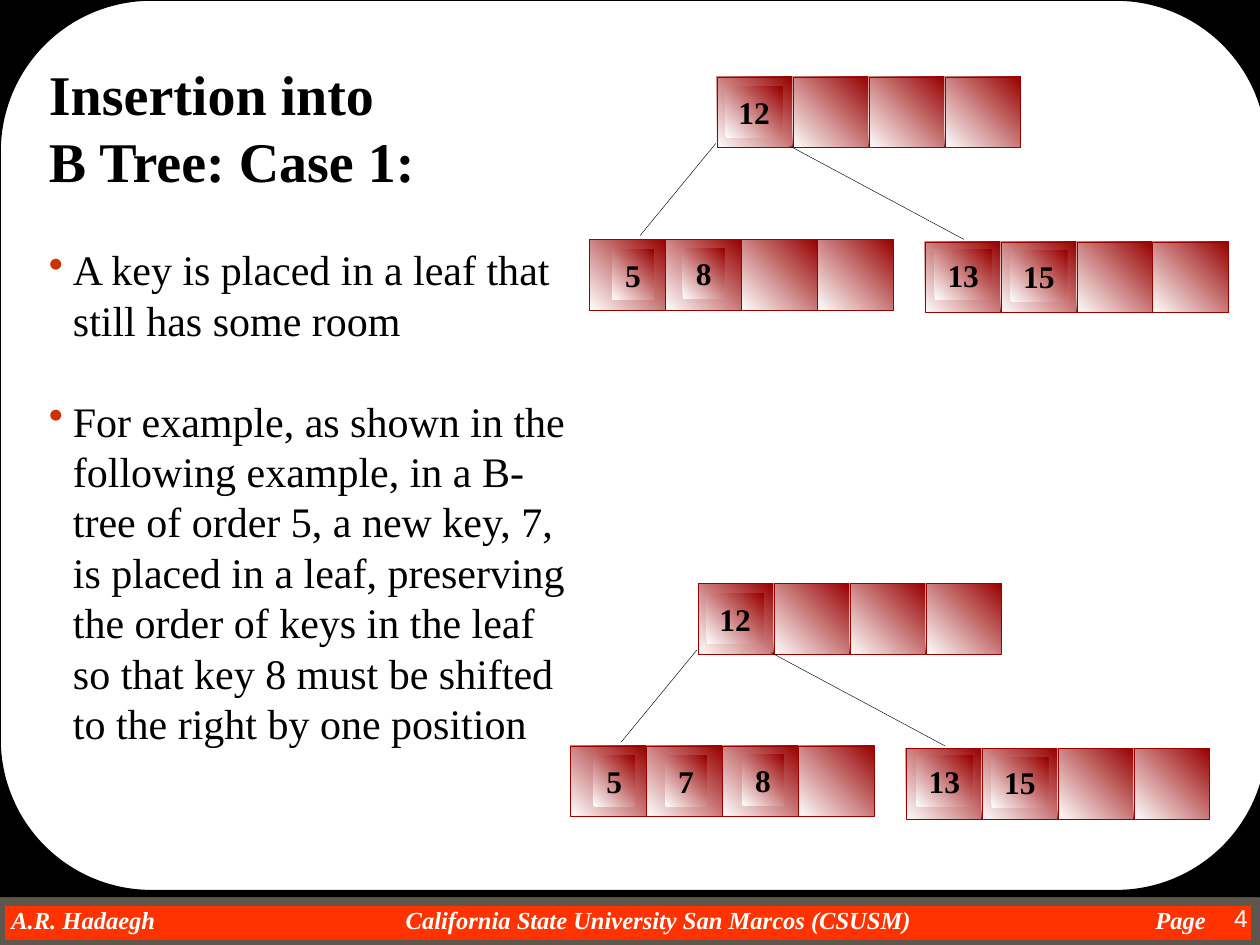
from lxml import etree
from pptx import Presentation
from pptx.dml.color import RGBColor
from pptx.enum import shapes as kinds, text
from pptx.oxml import ns
from pptx.util import Inches, Pt

BLACK = RGBColor(0x00, 0x00, 0x00)
WHITE = RGBColor(0xFF, 0xFF, 0xFF)
FOOTER_RED = RGBColor(0xFF, 0x33, 0x00)
FOOTER_EDGE = RGBColor(0x5E, 0x57, 0x4E)
NODE_RED = RGBColor(0x99, 0x00, 0x00)
BULLET_RED = "CC3300"
SERIF = "Times New Roman"

CELL_WIDTH, CELL_HEIGHT, CELL_PITCH, CELL_COUNT = 0.6, 0.56, 0.603, 4
KEY_HEIGHT = 0.4

# Positions are those of the upper tree; the lower one is the same, moved.
NODES = [(5.69, 0.61), (4.68, 1.9), (7.34, 1.92)]
BRANCHES = [(5.68, 1.14, 5.08, 1.87), (6.27, 1.16, 7.65, 1.9)]
SHARED_KEYS = [("12", 5.76, 0.69), ("13", 7.42, 1.98),
               ("5", 4.86, 1.98), ("15", 8.02, 1.99)]
TREES = [
    (0, 0, SHARED_KEYS + [("8", 5.42, 1.97)]),
    (-0.15, 4.02, SHARED_KEYS + [("7", 5.43, 1.98), ("8", 6.04, 1.97)]),
]


def add_box(parent, kind, left, top, width, height):
    box = parent.add_shape(kind, Inches(left), Inches(top), Inches(width), Inches(height))
    box.shadow.inherit = False
    box.line.fill.background()
    return box


def shade(box):
    """Fill from white at the lower left to red at the upper right."""
    box.fill.gradient()
    box.fill.gradient_angle = 45
    for stop, color, position in zip(box.fill.gradient_stops, (WHITE, NODE_RED), (0, 1)):
        stop.color.rgb = color
        stop.position = position


deck = Presentation()
deck.slide_width, deck.slide_height = Inches(10), Inches(7.5)
slide = deck.slides.add_slide(deck.slide_layouts[6])
slide.background.fill.solid()
slide.background.fill.fore_color.rgb = BLACK
RECTANGLE = kinds.MSO_SHAPE.RECTANGLE

# Footer band
band = add_box(slide.shapes, RECTANGLE, 0, 7.15, 9.97, 0.35)
band.fill.solid()
band.fill.fore_color.rgb = FOOTER_RED
band.line.color.rgb = FOOTER_EDGE
band.line.width = Pt(6)

footer = slide.shapes.add_textbox(Inches(0), Inches(7.18), Inches(9.68), Inches(0.23))
frame = footer.text_frame
frame.word_wrap = True
frame.margin_left = Inches(0.09)
frame.margin_top = frame.margin_right = frame.margin_bottom = 0
para = frame.paragraphs[0]
para.text = "A.R. Hadaegh\tCalifornia State University San Marcos (CSUSM)\tPage"
tabs = etree.SubElement(para._p.get_or_add_pPr(), ns.qn("a:tabLst"))
for position in (3.13, 9.08):
    etree.SubElement(tabs, ns.qn("a:tab"), pos=str(Inches(position)), algn="l")
para.font.name, para.font.size = SERIF, Pt(14)
para.font.bold = para.font.italic = True
para.font.color.rgb = WHITE

# White panel on black
backdrop = add_box(slide.shapes, RECTANGLE, 0, 0.01, 10, 7.11)
backdrop.fill.solid()
backdrop.fill.fore_color.rgb = BLACK
panel = add_box(slide.shapes, kinds.MSO_SHAPE.ROUNDED_RECTANGLE, 0, 0, 10.06, 7.07)
panel.adjustments[0] = 0.17
panel.fill.solid()
panel.fill.fore_color.rgb = WHITE
panel.line.color.rgb = BLACK
panel.line.width = Pt(1)

# Page number
number = slide.shapes.add_textbox(Inches(9.25), Inches(7.12), Inches(0.75), Inches(0.38))
number.text_frame.word_wrap = True
para = number.text_frame.paragraphs[0]
para.text = "4"
para.alignment = text.PP_ALIGN.RIGHT
para.font.name, para.font.size = "Arial", Pt(14)
para.font.color.rgb = WHITE

# Title and bullets
body = slide.shapes.add_textbox(Inches(0.29), Inches(0.42), Inches(4.39), Inches(5.56))
frame = body.text_frame
frame.word_wrap = True
lines = [
    ("Insertion into", True),
    ("B Tree: Case 1:", True),
    ("A key is placed in a leaf that still has some room", False),
    ("For example, as shown in the following example, in a B-tree of order 5, "
     "a new key, 7, is placed in a leaf, preserving the order of keys in the leaf "
     "so that key 8 must be shifted to the right by one position", False),
]
for index, (words, is_title) in enumerate(lines):
    para = frame.add_paragraph() if index else frame.paragraphs[0]
    para.text = words
    size = 32 if is_title else 24
    para.line_spacing = Pt(size * 1.2)
    if not is_title:
        para.space_before = Pt(28.8)
        properties = para._p.get_or_add_pPr()
        properties.set("marL", str(Inches(0.19)))
        properties.set("indent", str(-Inches(0.19)))
        color = etree.SubElement(properties, ns.qn("a:buClr"))
        etree.SubElement(color, ns.qn("a:srgbClr"), val=BULLET_RED)
        etree.SubElement(properties, ns.qn("a:buChar"), char="•")
    para.font.name, para.font.size = SERIF, Pt(size)
    para.font.bold = is_title
    para.font.color.rgb = BLACK

# B-trees before and after the insertion
for shift_x, shift_y, keys in TREES:
    for left, top in NODES:
        node = slide.shapes.add_group_shape()
        for column in range(CELL_COUNT):
            cell = add_box(node.shapes, RECTANGLE, left + shift_x + column * CELL_PITCH,
                           top + shift_y, CELL_WIDTH, CELL_HEIGHT)
            shade(cell)
            cell.line.color.rgb = NODE_RED
            cell.line.width = Pt(0.25)

    for x1, y1, x2, y2 in BRANCHES:
        branch = slide.shapes.add_connector(
            kinds.MSO_CONNECTOR.STRAIGHT, Inches(x1 + shift_x), Inches(y1 + shift_y),
            Inches(x2 + shift_x), Inches(y2 + shift_y))
        branch.line.color.rgb = BLACK
        branch.line.width = Pt(0.25)
        etree.SubElement(branch._element.spPr, ns.qn("a:effectLst"))

    for label, left, top in keys:
        width = 0.45 if len(label) == 2 else 0.33
        key = add_box(slide.shapes, RECTANGLE, left + shift_x, top + shift_y, width, KEY_HEIGHT)
        shade(key)
        frame = key.text_frame
        frame.word_wrap = False
        frame.vertical_anchor = text.MSO_ANCHOR.TOP
        para = frame.paragraphs[0]
        para.text = label
        para.alignment = text.PP_ALIGN.CENTER
        para.font.name, para.font.size = SERIF, Pt(18)
        para.font.bold = True
        para.font.color.rgb = BLACK

deck.save("out.pptx")
